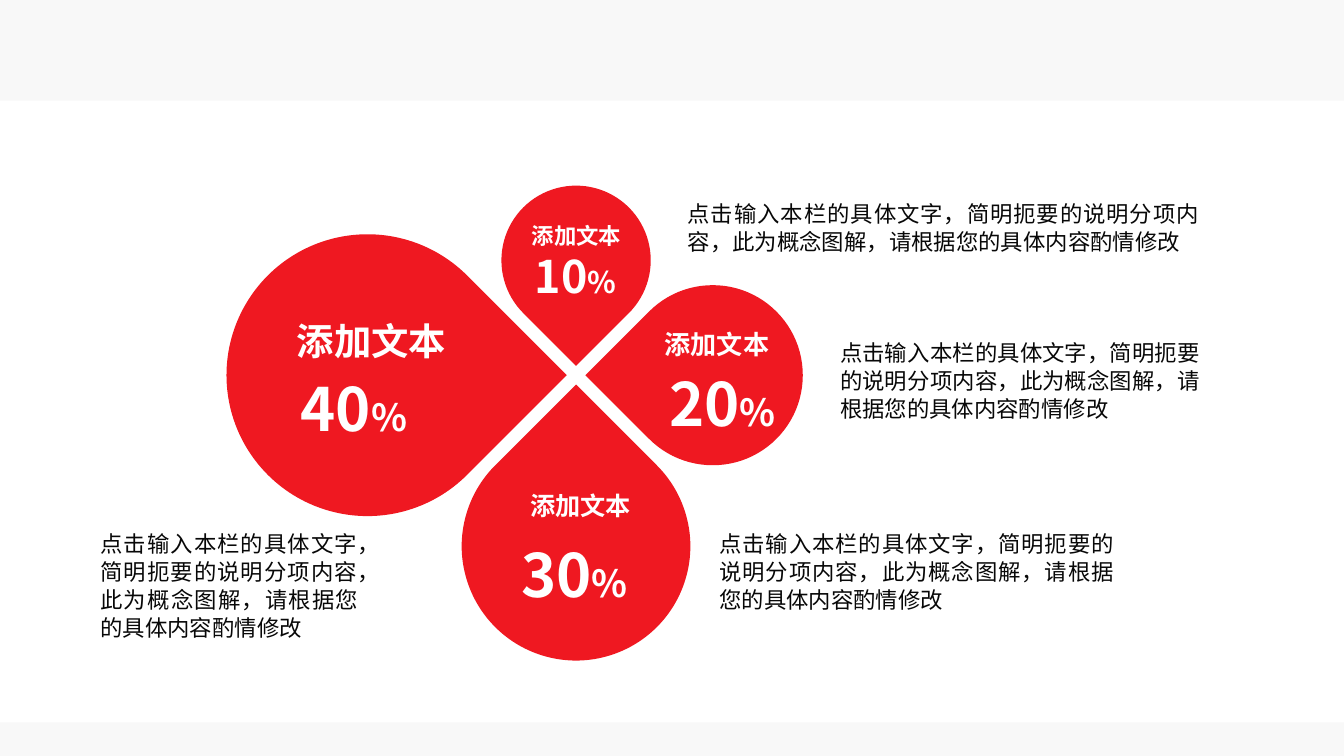
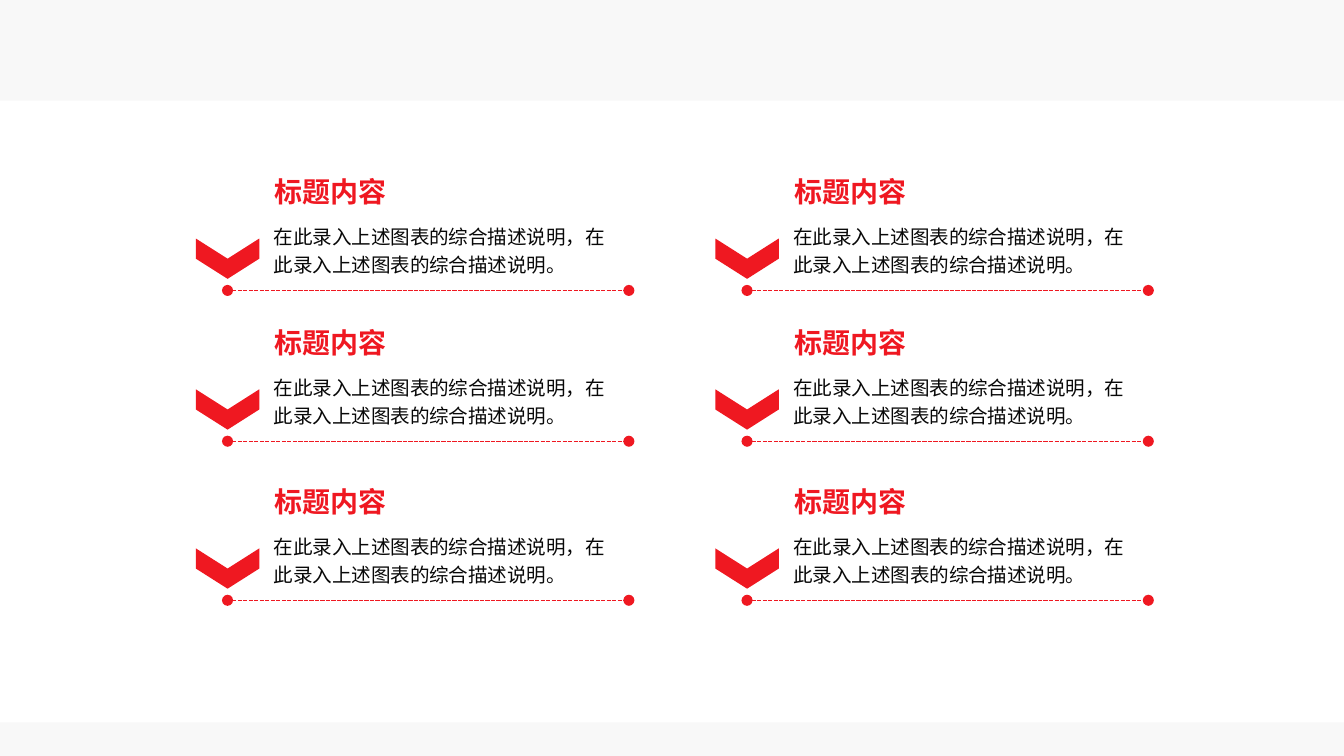
from math import sqrt

from lxml import etree
from pptx import Presentation
from pptx.dml.color import RGBColor
from pptx.enum.dml import MSO_LINE
from pptx.enum.shapes import MSO_CONNECTOR, MSO_SHAPE
from pptx.enum.text import MSO_AUTO_SIZE, PP_ALIGN
from pptx.oxml.ns import qn
from pptx.util import Pt

RED = RGBColor(0xEF, 0x18, 0x21)
WHITE = RGBColor(0xFF, 0xFF, 0xFF)
GREY = RGBColor(0xF8, 0xF8, 0xF8)
INK = RGBColor(0x08, 0x08, 0x08)
FONT = "Noto Sans CJK SC"

RECT = MSO_SHAPE.RECTANGLE
TEAR = MSO_SHAPE.TEAR
CHEVRON = MSO_SHAPE.CHEVRON
STRAIGHT = MSO_CONNECTOR.STRAIGHT
DASH = MSO_LINE.SQUARE_DOT
GROW = MSO_AUTO_SIZE.SHAPE_TO_FIT_TEXT
LEFT, CENTER, JUSTIFY = PP_ALIGN.LEFT, PP_ALIGN.CENTER, PP_ALIGN.JUSTIFY


def add_form(slide, kind, box, color, turn=0):
    form = slide.shapes.add_shape(kind, *map(Pt, box))
    form.shadow.inherit = False
    form.fill.solid()
    form.fill.fore_color.rgb = color
    form.line.fill.background()
    form.rotation = turn


def add_text(slide, box, *runs, color=INK, bold=False, align=LEFT,
             inset=(0, 0), wrap=True, pitch=None):
    """Each run is a pair of words and size."""
    frame = slide.shapes.add_textbox(*map(Pt, box)).text_frame
    frame.word_wrap = wrap
    frame.auto_size = GROW
    frame.margin_left = frame.margin_right = Pt(inset[0])
    frame.margin_top = frame.margin_bottom = Pt(inset[1])
    para = frame.paragraphs[0]
    para.alignment = align
    para.line_spacing = pitch
    for words, size in runs:
        run = para.add_run()
        run.text = words
        run.font.size = Pt(size)
        run.font.bold = bold
        run.font.color.rgb = color
        run.font.name = FONT
        east = etree.SubElement(run.font._element, qn("a:ea"))
        east.set("typeface", FONT)


deck = Presentation()
deck.slide_width, deck.slide_height = Pt(720), Pt(405)

# Shared backdrop: grey page with a white band
slides = []
for _ in range(2):
    slide = deck.slides.add_slide(deck.slide_layouts[6])
    slide.background.fill.solid()
    slide.background.fill.fore_color.rgb = GREY
    add_form(slide, RECT, (0, 54, 720, 333), WHITE)
    slides.append(slide)
share, points = slides

# Petals: every tip stays the same gap away from the hub
HUB_X, HUB_Y, GAP = 308.6, 201, 5
NUMBER_PAD = (7.2, 3.6)
petals = [
    # across, down, turn, width, label box, label size,
    # value, value box, value size, percent size
    (-1, 0, 45, 151, (147.6, 170.6, 103, 24.5), 20,
     "40", (154, 195.8, 73.5, 46), 32, 20),
    (0, 1, 315, 122.5, (268.6, 262.8, 85, 21.6), 13.5,
     "30", (272.2, 284.4, 73.5, 46), 32, 20),
    (1, 0, 225, 96.5, (348.5, 175.7, 71.3, 17.3), 14,
     "20", (351.4, 193, 73.5, 46), 32, 20),
    (0, -1, 135, 80, (281.5, 118.8, 54.7, 14.4), 12,
     "10", (279.4, 129.6, 59, 36), 24, 16),
]
for (across, down, turn, width, label_box, label_size,
     value, value_box, value_size, sign_size) in petals:
    reach = GAP + width / 2 * sqrt(2)
    left = round(HUB_X + across * reach - width / 2, 2)
    top = round(HUB_Y + down * reach - width / 2, 2)
    add_form(share, TEAR, (left, top, width, width), RED, turn)
    add_text(share, label_box, ("添加文本", label_size),
             color=WHITE, bold=True, align=CENTER)
    add_text(share, value_box, (value, value_size), ("%", sign_size),
             color=WHITE, bold=True, inset=NUMBER_PAD, wrap=False)

# Notes around the petals
NOTE = "点击输入本栏的具体文字，简明扼要的说明分项内容，此为概念图解，请根据您的具体内容酌情修改"
for box in [(368.4, 106.6, 274.3, 30), (450, 180.9, 193, 45),
            (385.4, 283.5, 211.7, 45), (53.8, 283.5, 138.2, 60)]:
    add_text(share, box, (NOTE, 12), align=JUSTIFY, pitch=Pt(15))

# Grid of points, each standing on a dashed rule
DETAIL = "在此录入上述图表的综合描述说明，在此录入上述图表的综合描述说明。"
PAD = (5.4, 2.7)
for left in (121.9, 400.2):
    for base in (155.6, 236.4, 321.6):
        add_form(points, CHEVRON, (left - 10.8, base - 34, 21.6, 34), RED, 90)
        rule = points.shapes.add_connector(
            STRAIGHT, Pt(left), Pt(base), Pt(left + 215), Pt(base))
        rule.line.color.rgb = RED
        rule.line.width = Pt(0.75)
        rule.line.dash_style = DASH
        for end in ("a:headEnd", "a:tailEnd"):
            etree.SubElement(rule.line._ln, qn(end)).set("type", "oval")
        etree.SubElement(rule._element.spPr, qn("a:effectLst"))
        add_text(points, (left + 20, base - 64.8, 71.3, 23.8),
                 ("标题内容", 15), color=RED, bold=True, inset=PAD, wrap=False)
        add_text(points, (left + 19.4, base - 40.2, 195.8, 36),
                 (DETAIL, 10.5), inset=PAD, pitch=1.2)

deck.save("out.pptx")
